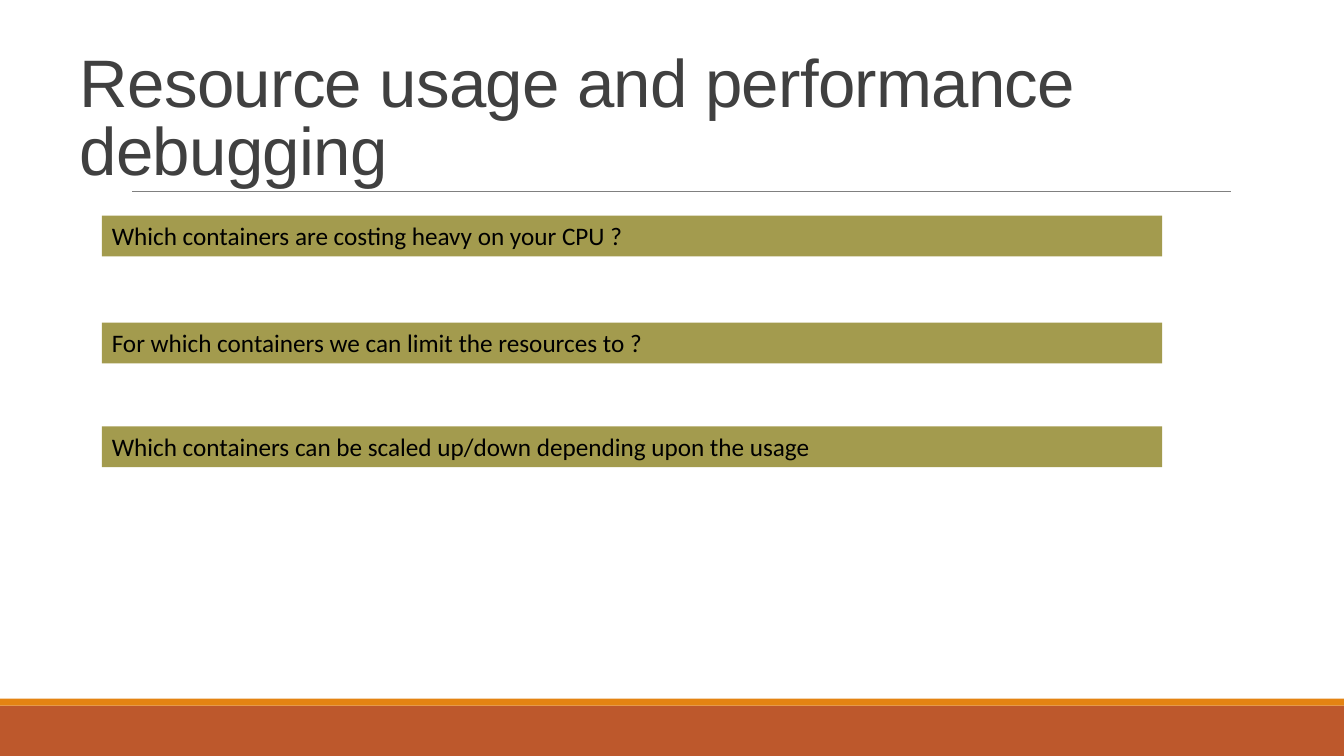
from dataclasses import dataclass

import pptx
import pptx.dml.color
import pptx.enum.shapes
import pptx.enum.text
import pptx.oxml
import pptx.oxml.ns
import pptx.util

SLIDE_WIDTH = pptx.util.Inches(13.333)
SLIDE_HEIGHT = pptx.util.Inches(7.5)
COLORS = {
    "footer": "BD582C",
    "stripe": "E48312",
    "rule": "808080",
    "title": "404040",
    "bar": "A39B4E",
    "text": "000000",
}


@dataclass(frozen=True)
class Box:
    """A rectangle in percent of the slide's width and height."""
    left: float
    top: float
    width: float
    height: float

    def lengths(self) -> tuple[int, int, int, int]:
        return across(self.left), down(self.top), across(self.width), down(self.height)


@dataclass(frozen=True)
class Bar:
    box: Box
    color: str
    text: str = ""


def across(percent: float) -> int:
    return round(SLIDE_WIDTH * percent / 100)


def down(percent: float) -> int:
    return round(SLIDE_HEIGHT * percent / 100)


def rgb(name: str) -> pptx.dml.color.RGBColor:
    return pptx.dml.color.RGBColor.from_string(COLORS[name])


def style_run(run, font: str, size: float, color: str) -> None:
    run.font.name = font
    run.font.size = pptx.util.Pt(size)
    run.font.color.rgb = rgb(color)


def draw_title(slide, box: Box, text: str) -> None:
    title = slide.shapes.title
    title.left, title.top, title.width, title.height = box.lengths()
    frame = title.text_frame
    frame.text = text
    frame.word_wrap = True
    frame.auto_size = pptx.enum.text.MSO_AUTO_SIZE.NONE
    frame.vertical_anchor = pptx.enum.text.MSO_ANCHOR.BOTTOM
    paragraph = frame.paragraphs[0]
    paragraph.alignment = pptx.enum.text.PP_ALIGN.LEFT
    paragraph.line_spacing = 0.85
    run = paragraph.runs[0]
    style_run(run, "Arial", 48, "title")
    run.font._element.set("spc", "-50")


def draw_bar(slide, bar: Bar) -> None:
    rectangle = slide.shapes.add_shape(
        pptx.enum.shapes.MSO_SHAPE.RECTANGLE, *bar.box.lengths())
    rectangle.shadow.inherit = False
    rectangle.fill.solid()
    rectangle.fill.fore_color.rgb = rgb(bar.color)
    rectangle.line.fill.background()
    if bar.text:
        frame = rectangle.text_frame
        frame.text = bar.text
        frame.word_wrap = True
        frame.auto_size = pptx.enum.text.MSO_AUTO_SIZE.SHAPE_TO_FIT_TEXT
        frame.vertical_anchor = pptx.enum.text.MSO_ANCHOR.TOP
        frame.paragraphs[0].alignment = pptx.enum.text.PP_ALIGN.LEFT
        style_run(frame.paragraphs[0].runs[0], "Calibri", 18, "text")


def draw_rule(slide, left: float, right: float, top: float) -> None:
    rule = slide.shapes.add_connector(
        pptx.enum.shapes.MSO_CONNECTOR.STRAIGHT,
        across(left), down(top), across(right), down(top))
    rule.line.color.rgb = rgb("rule")
    rule.line.width = pptx.util.Pt(0.5)
    properties = rule._element.spPr
    properties.append(pptx.oxml.parse_xml(
        f"<a:effectLst {pptx.oxml.ns.nsdecls('a')}/>"))


FOOTER_BARS = [
    Bar(Box(0, 93.33, 100, 6.67), "footer"),
    Bar(Box(0, 92.4, 100, 0.93), "stripe"),
]
QUESTIONS = {
    28.53: "Which containers are costing heavy on your CPU ?",
    42.67: "For which containers we can limit the resources to ?",
    56.4: "Which containers can be scaled up/down depending upon the usage",
}


def main() -> None:
    deck = pptx.Presentation()
    deck.slide_width, deck.slide_height = SLIDE_WIDTH, SLIDE_HEIGHT
    slide = deck.slides.add_slide(deck.slide_layouts.get_by_name("Title Only"))

    # Title and the rule under it
    draw_title(slide, Box(5.18, 4.53, 82.5, 21.2),
               "Resource usage and performance debugging")
    draw_rule(slide, 9.83, 91.58, 25.33)

    # Footer bands, then the questions
    question_bars = [Bar(Box(7.58, top, 78.9, 5.39), "bar", question)
                     for top, question in QUESTIONS.items()]
    for bar in FOOTER_BARS + question_bars:
        draw_bar(slide, bar)

    deck.save("out.pptx")


if __name__ == "__main__":
    main()
